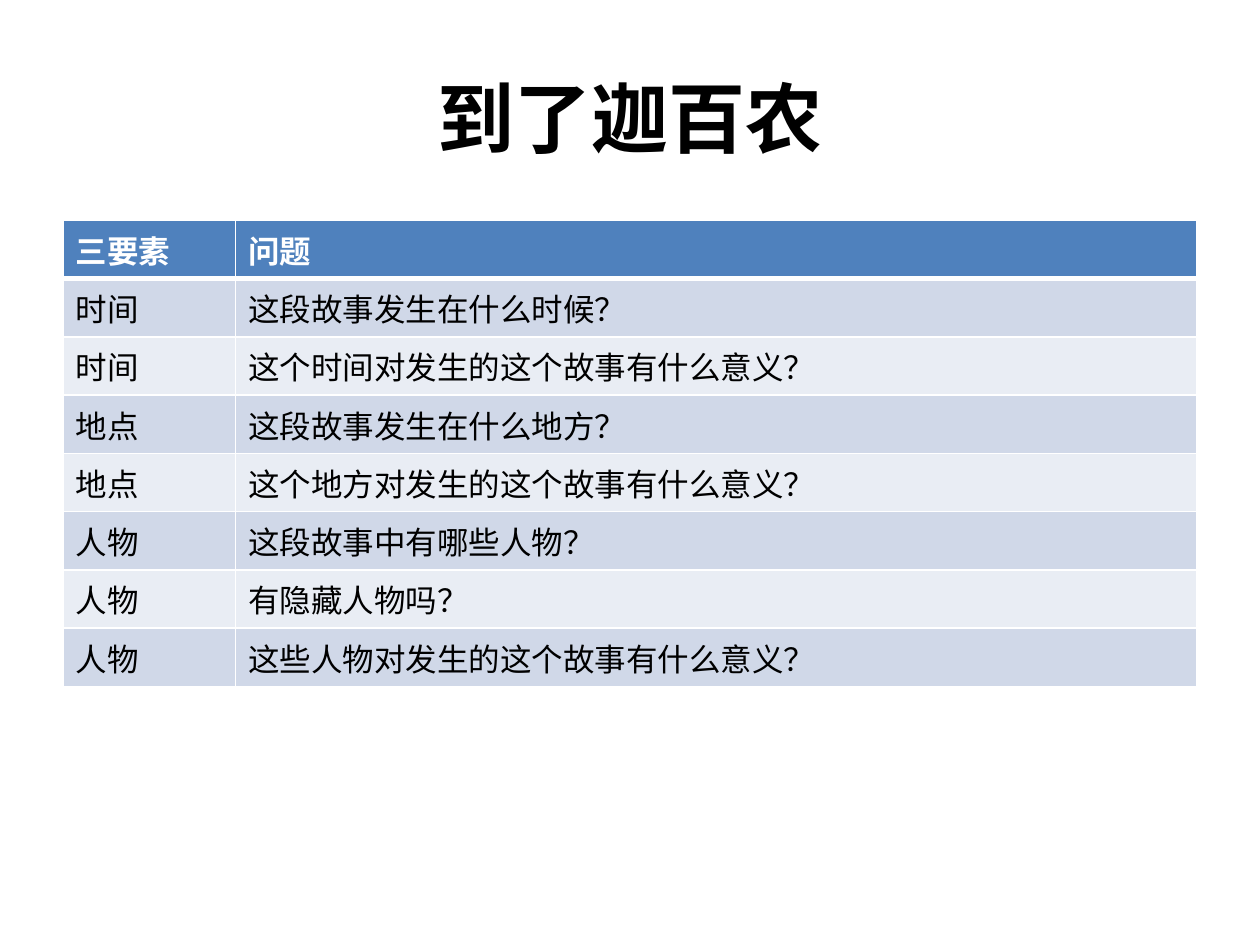
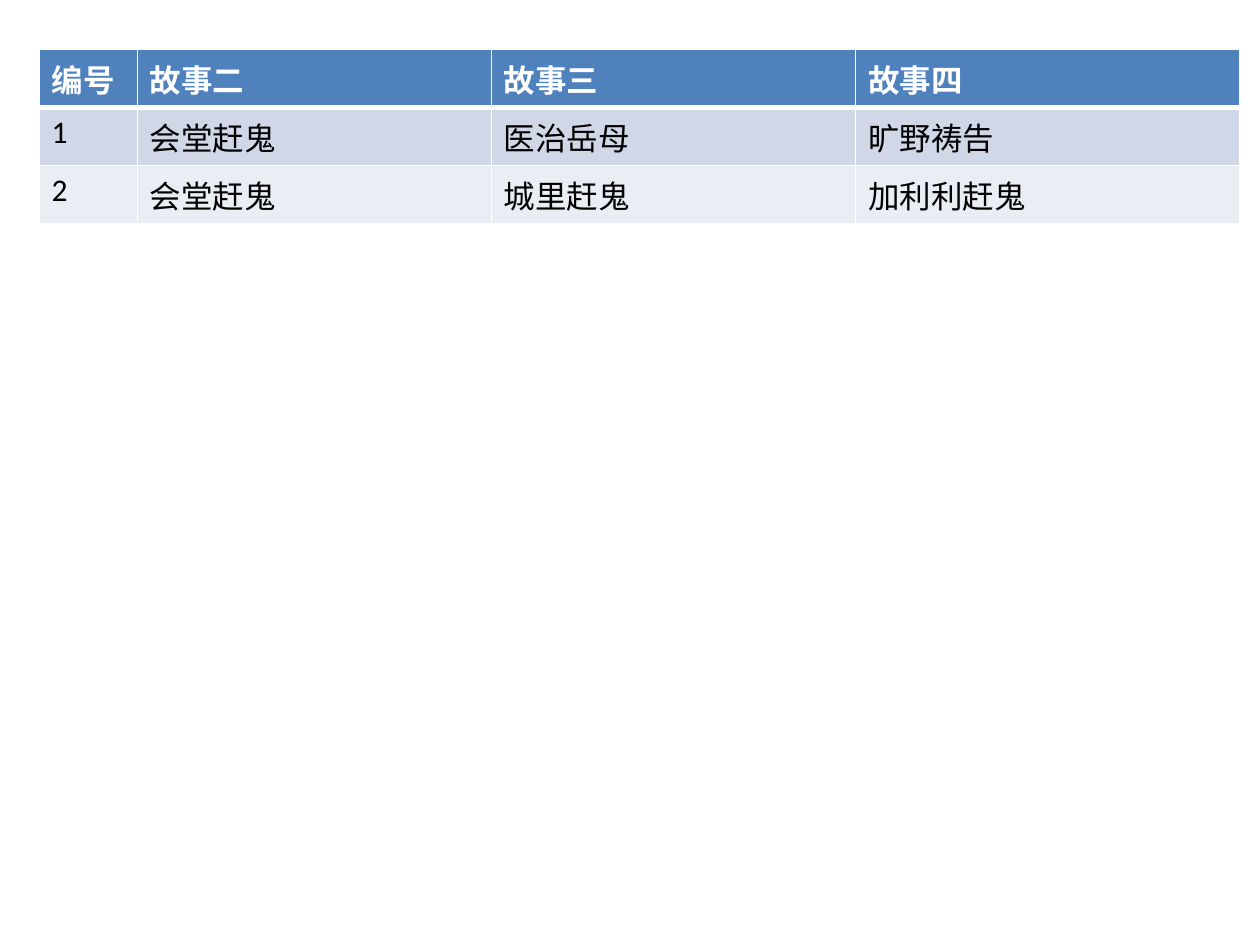
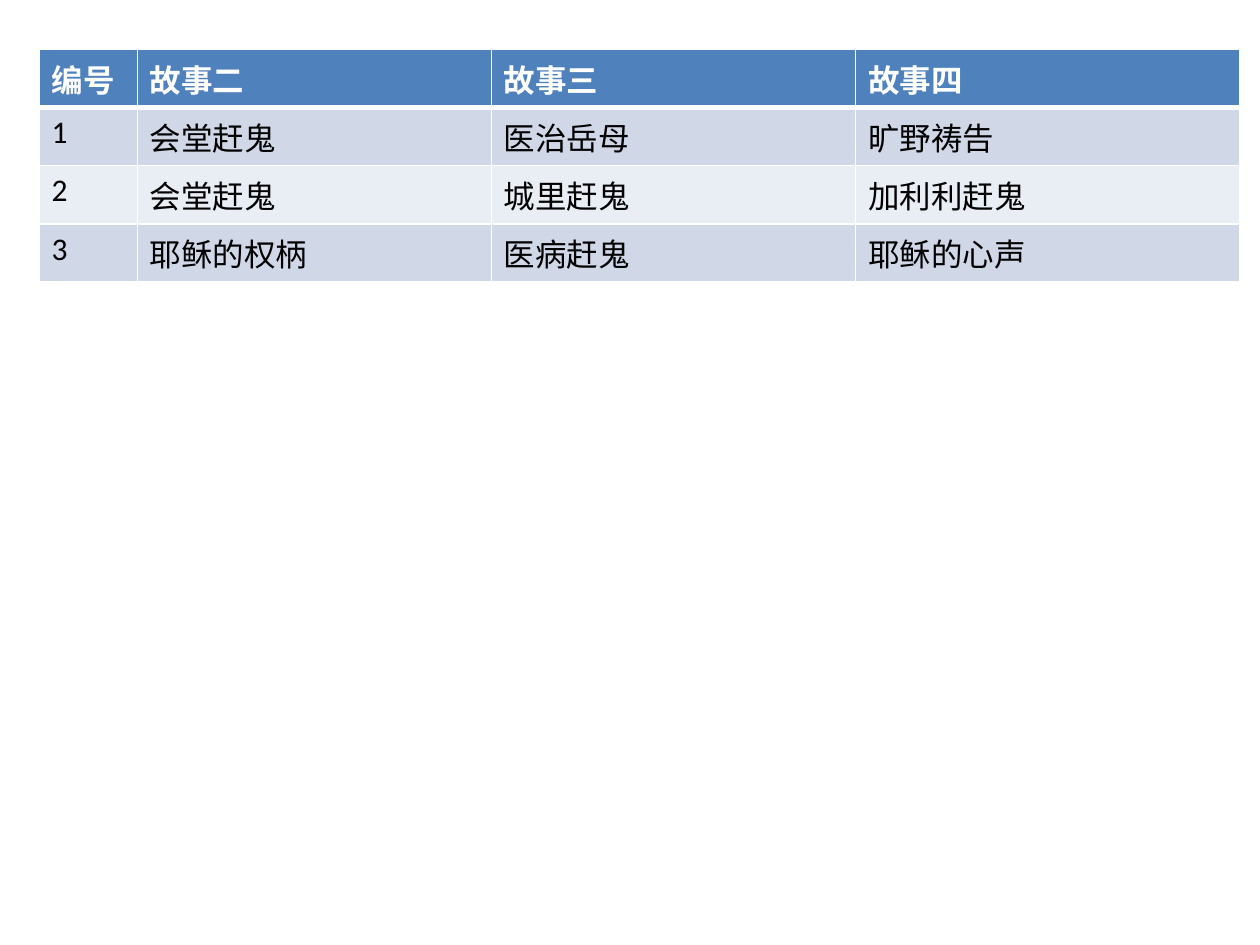
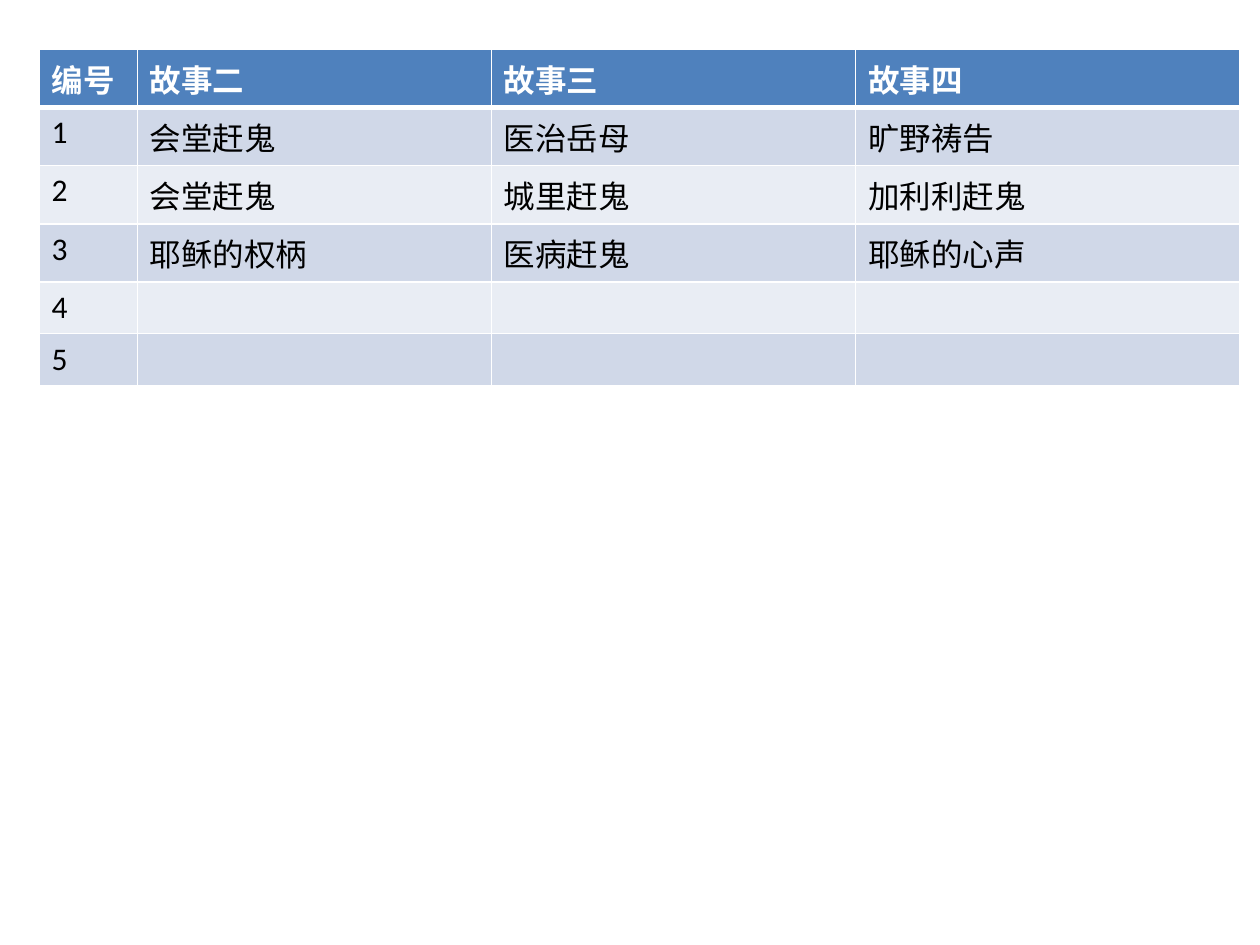
from lxml.etree import SubElement
from pptx import Presentation
from pptx.dml.color import RGBColor
from pptx.enum.text import MSO_ANCHOR, PP_ALIGN
from pptx.oxml.ns import qn
from pptx.util import Inches, Pt

COLOURS = {
    "page": "FFFFFF",
    "title": "000000",
    "header": "4F81BD",
    "header_text": "FFFFFF",
    "body_text": "000000",
    "odd_row": "D0D8E8",
    "even_row": "E9EDF4",
    "grid": "FFFFFF",
}
FONT = "Calibri"
TITLE_ONLY, BLANK = 5, 6
ROW_HEIGHT = 0.41

QUESTIONS = [
    ["三要素", "问题"],
    ["时间", "这段故事发生在什么时候？"],
    ["时间", "这个时间对发生的这个故事有什么意义？"],
    ["地点", "这段故事发生在什么地方？"],
    ["地点", "这个地方对发生的这个故事有什么意义？"],
    ["人物", "这段故事中有哪些人物？"],
    ["人物", "有隐藏人物吗？"],
    ["人物", "这些人物对发生的这个故事有什么意义？"],
]
STORIES = [
    ["编号", "故事二", "故事三", "故事四"],
    ["1", "会堂赶鬼", "医治岳母", "旷野祷告"],
    ["2", "会堂赶鬼", "城里赶鬼", "加利利赶鬼"],
    ["3", "耶稣的权柄", "医病赶鬼", "耶稣的心声"],
    ["4", "", "", ""],
    ["5", "", "", ""],
]
STORY_ROWS_SHOWN = [3, 4, 6]


class Deck:
    def __init__(self):
        self.presentation = Presentation()
        self.presentation.slide_width = Inches(10)
        self.presentation.slide_height = Inches(7.5)
        self.slide = None

    def colour(self, key):
        return RGBColor.from_string(COLOURS[key])

    def add_slide(self, layout):
        layouts = self.presentation.slide_layouts
        self.slide = self.presentation.slides.add_slide(layouts[layout])
        background = self.slide.background.fill
        background.solid()
        background.fore_color.rgb = self.colour("page")

    def format_text(self, paragraph, size, colour, bold):
        for styled in [paragraph, *paragraph.runs]:
            styled.font.name = FONT
            styled.font.size = Pt(size)
            styled.font.bold = bold
            styled.font.color.rgb = self.colour(colour)

    def add_title(self, text):
        title = self.slide.shapes.title
        title.left, title.top = Inches(0.5), Inches(0.3)
        title.width, title.height = Inches(9), Inches(1.25)
        title.text_frame.text = text
        title.text_frame.vertical_anchor = MSO_ANCHOR.MIDDLE
        heading = title.text_frame.paragraphs[0]
        heading.alignment = PP_ALIGN.CENTER
        self.format_text(heading, 44, "title", True)

    def add_borders(self, cell, top, bottom):
        properties = cell._tc.get_or_add_tcPr()
        for side, points in zip("LRTB", [1, 1, top, bottom]):
            line = SubElement(properties, qn(f"a:ln{side}"), w=str(Pt(points)))
            fill = SubElement(line, qn("a:solidFill"))
            SubElement(fill, qn("a:srgbClr"), val=COLOURS["grid"])

    def format_cell(self, cell, text, row):
        header = row == 0
        cell.text_frame.text = text
        self.format_text(cell.text_frame.paragraphs[0], 18,
                         "header_text" if header else "body_text", header)
        self.add_borders(cell, 3 if row == 1 else 1, 3 if header else 1)
        cell.fill.solid()
        band = "odd_row" if row % 2 else "even_row"
        cell.fill.fore_color.rgb = self.colour("header" if header else band)

    def add_table(self, left, top, widths, rows):
        table = self.slide.shapes.add_table(
            len(rows), len(widths), Inches(left), Inches(top),
            Inches(sum(widths)), Inches(ROW_HEIGHT * len(rows))).table
        for column, width in zip(table.columns, widths):
            column.width = Inches(width)
        for row, texts in enumerate(rows):
            table.rows[row].height = Inches(ROW_HEIGHT)
            for column, text in enumerate(texts):
                self.format_cell(table.cell(row, column), text, row)


def main():
    deck = Deck()
    deck.add_slide(TITLE_ONLY)
    deck.add_title("到了迦百农")
    deck.add_table(0.5, 1.75, [1.37, 7.63], QUESTIONS)
    for shown in STORY_ROWS_SHOWN:
        deck.add_slide(BLANK)
        deck.add_table(0.31, 0.39, [0.78, 2.81, 2.89, 3.05], STORIES[:shown])
    deck.presentation.save("out.pptx")


if __name__ == "__main__":
    main()
